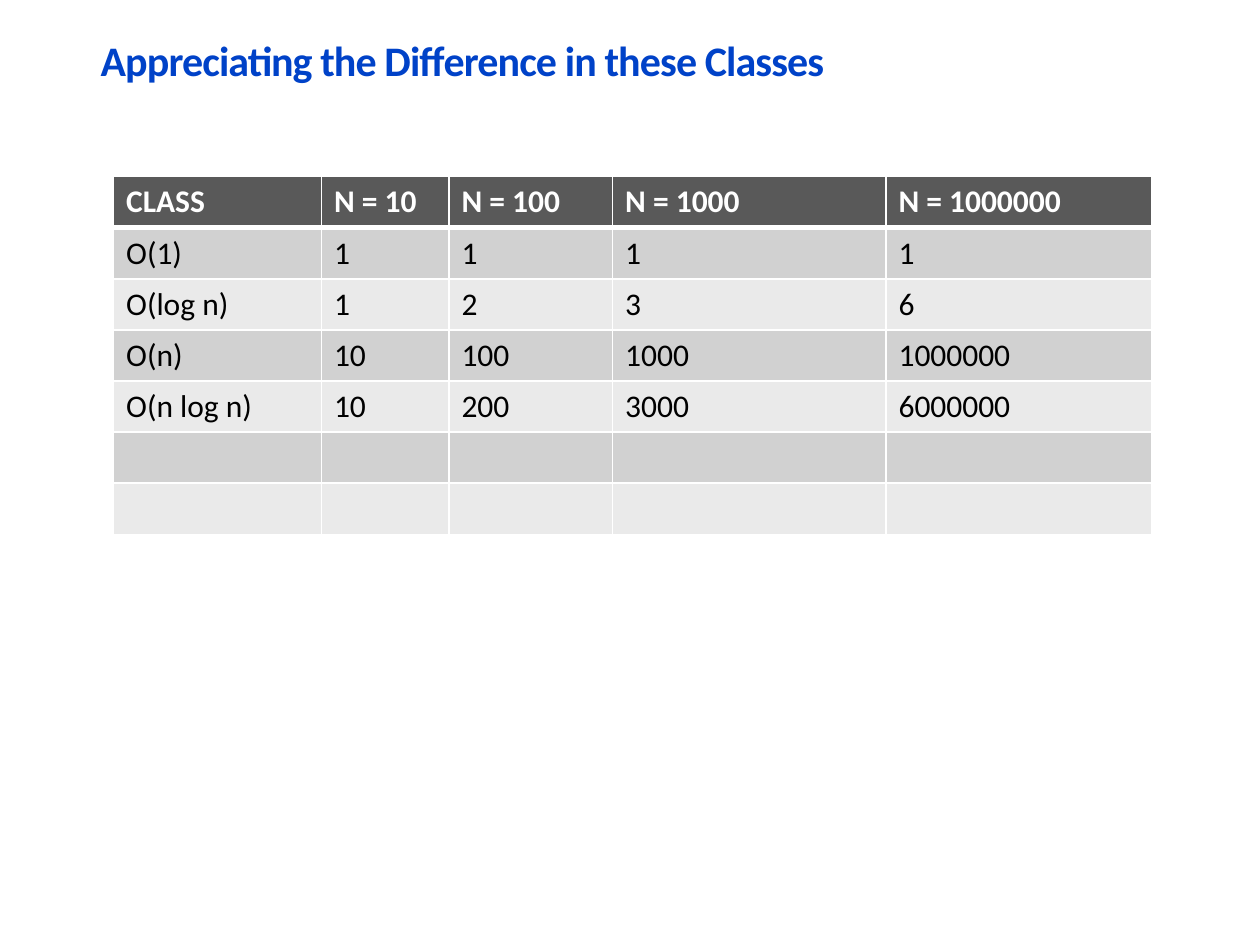
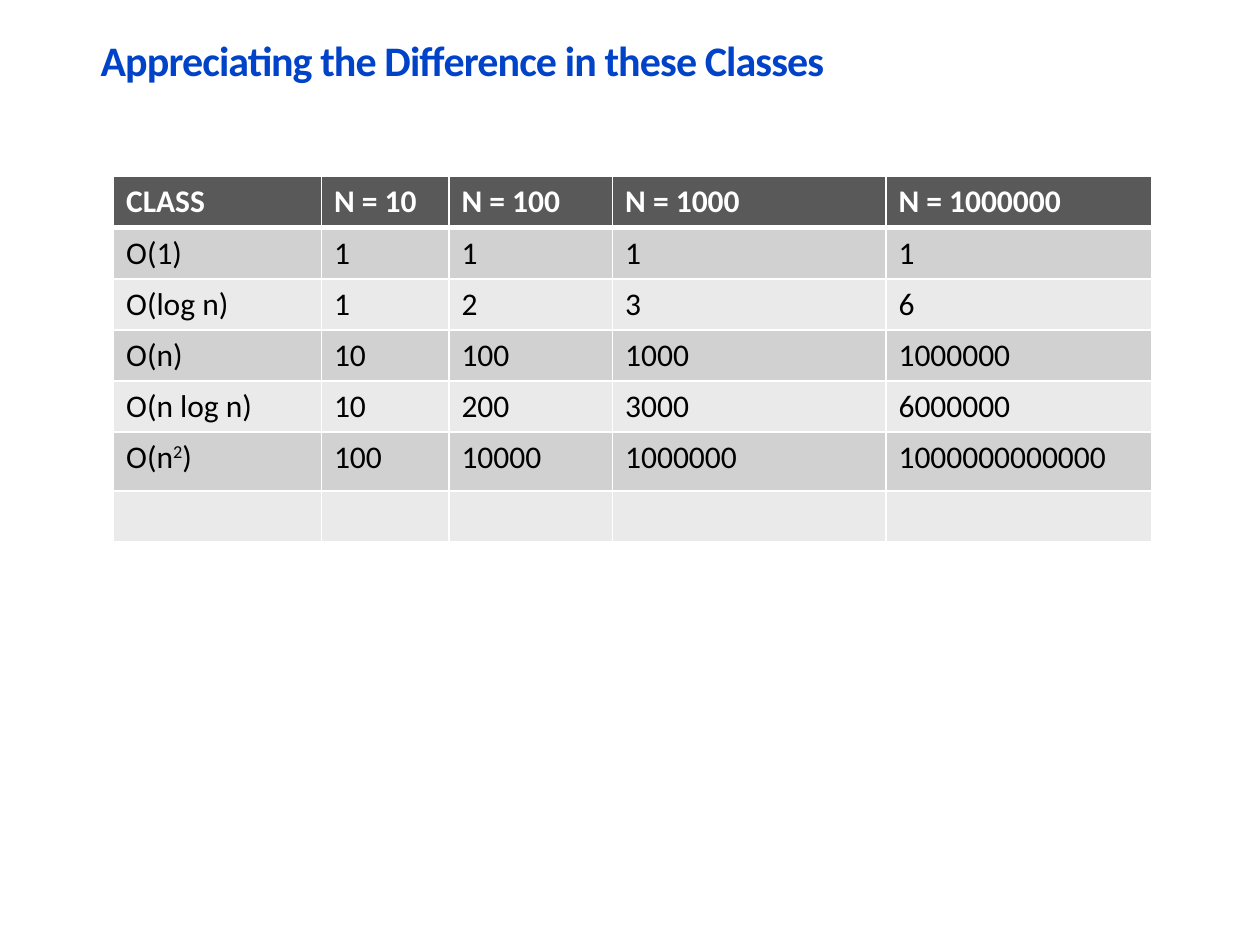
"""Build two slides that compare the growth of complexity classes."""
from dataclasses import dataclass

from lxml.etree import SubElement
from pptx import Presentation
from pptx.dml.color import RGBColor
from pptx.enum.text import MSO_ANCHOR
from pptx.oxml.ns import qn
from pptx.util import Cm, Pt

TITLE = "Appreciating the Difference in these Classes"
HEADER = ("CLASS", "N = 10", "N = 100", "N = 1000", "N = 1000000")
CLASSES = [
    ("O(1)", "1", "1", "1", "1"),
    ("O(log n)", "1", "2", "3", "6"),
    ("O(n)", "10", "100", "1000", "1000000"),
    ("O(n log n)", "10", "200", "3000", "6000000"),
]
QUADRATIC = ("O(n^2^)", "100", "10000", "1000000", "1000000000000")
BLANK = ("",) * len(HEADER)
SLIDES = [
    [HEADER, *CLASSES, BLANK, BLANK],
    [HEADER, *CLASSES, QUADRATIC, BLANK],
]


@dataclass(frozen=True)
class Theme:
    font: str = "Calibri"
    title: str = "0042C8"
    head: str = "595959"
    bands: tuple = ("D1D1D1", "EAEAEA")
    white: str = "FFFFFF"
    text: str = "000000"
    title_size: int = 24
    cell_size: int = 18
    rule: int = 1
    head_rule: int = 3


THEME = Theme()
TITLE_BOX = (1.78, 0.33, 20.96, 1.52)
TABLE_LEFT, TABLE_TOP = 2.29, 3.56
COL_WIDTHS = (4.19, 2.57, 3.3, 5.51, 5.36)
ROW_HEIGHT, QUADRATIC_HEIGHT = 1.03, 1.19


def add_run(p, text, size, color, bold):
    r = p.add_run()
    r.text = text
    r.font.name, r.font.size, r.font.bold = THEME.font, Pt(size), bold
    r.font.color.rgb = RGBColor.from_string(color)
    return r.font._element


def add_title(s):
    tf = s.shapes.add_textbox(*map(Cm, TITLE_BOX)).text_frame
    tf.word_wrap = True
    tf.vertical_anchor = MSO_ANCHOR.BOTTOM
    p = tf.paragraphs[0]
    p.line_spacing = 0.85
    add_run(p, TITLE, THEME.title_size, THEME.title, True).set("spc", "-50")


def add_borders(cell, row):
    props = cell._tc.get_or_add_tcPr()
    heavy = {0: "lnB", 1: "lnT"}.get(row)
    for side in ("lnL", "lnR", "lnT", "lnB"):
        width = THEME.head_rule if side == heavy else THEME.rule
        ln = SubElement(props, qn(f"a:{side}"), w=str(Pt(width)))
        fill = SubElement(ln, qn("a:solidFill"))
        SubElement(fill, qn("a:srgbClr"), val=THEME.white)


def fill_cell(cell, text, row):
    head = row == 0
    add_borders(cell, row)
    cell.fill.solid()
    color = THEME.head if head else THEME.bands[(row - 1) % 2]
    cell.fill.fore_color.rgb = RGBColor.from_string(color)
    p = cell.text_frame.paragraphs[0]
    p.font.size = Pt(THEME.cell_size)
    ink = THEME.white if head else THEME.text
    for i, part in enumerate(text.split("^")):
        if part:
            props = add_run(p, part, THEME.cell_size, ink, head)
            if i % 2:
                props.set("baseline", "30000")


def add_class_table(s, rows):
    heights = [QUADRATIC_HEIGHT if row is QUADRATIC else ROW_HEIGHT for row in rows]
    table = s.shapes.add_table(
        len(rows), len(HEADER), Cm(TABLE_LEFT), Cm(TABLE_TOP),
        Cm(sum(COL_WIDTHS)), Cm(sum(heights)),
    ).table
    for col, width in zip(table.columns, COL_WIDTHS):
        col.width = Cm(width)
    for i, (row, height) in enumerate(zip(rows, heights)):
        table.rows[i].height = Cm(height)
        for j, text in enumerate(row):
            fill_cell(table.cell(i, j), text, i)


def main():
    prs = Presentation()
    prs.slide_width, prs.slide_height = Cm(25.4), Cm(19.05)
    for rows in SLIDES:
        s = prs.slides.add_slide(prs.slide_layouts[6])
        add_title(s)
        add_class_table(s, rows)
    prs.save("out.pptx")


if __name__ == "__main__":
    main()
